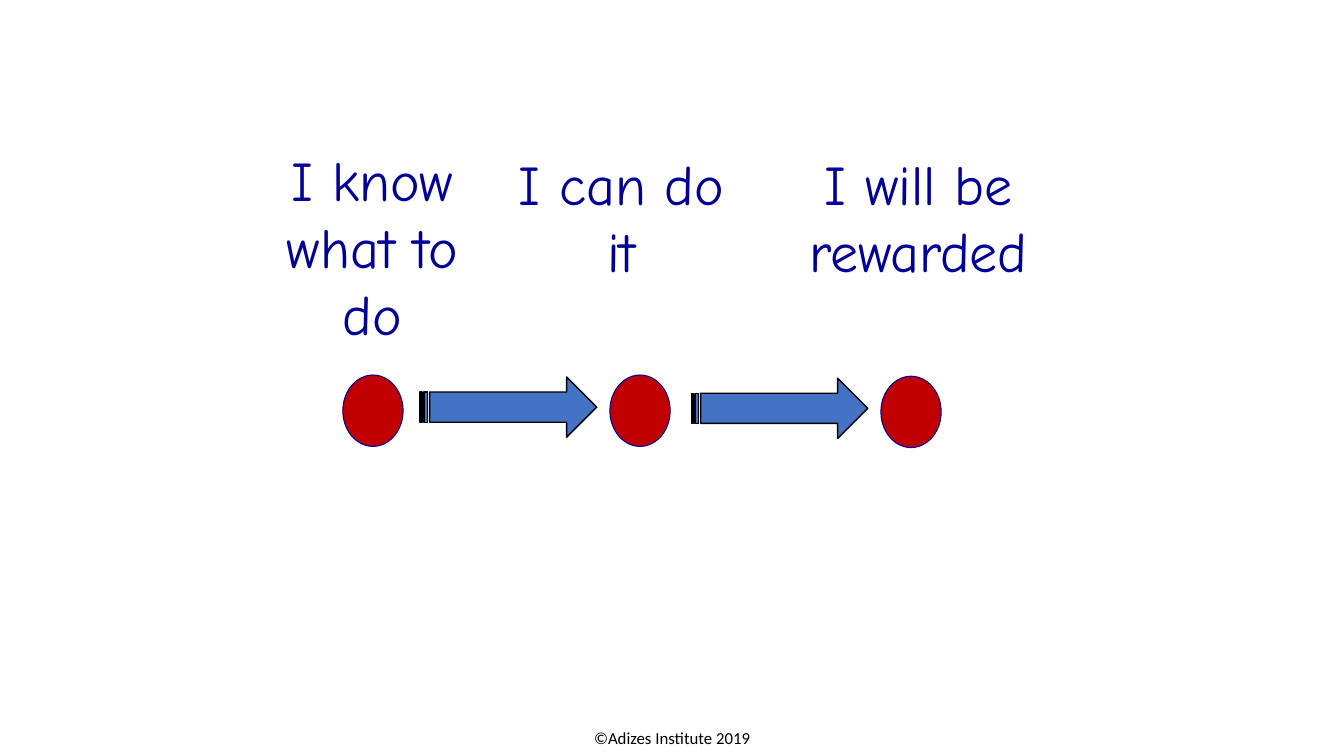
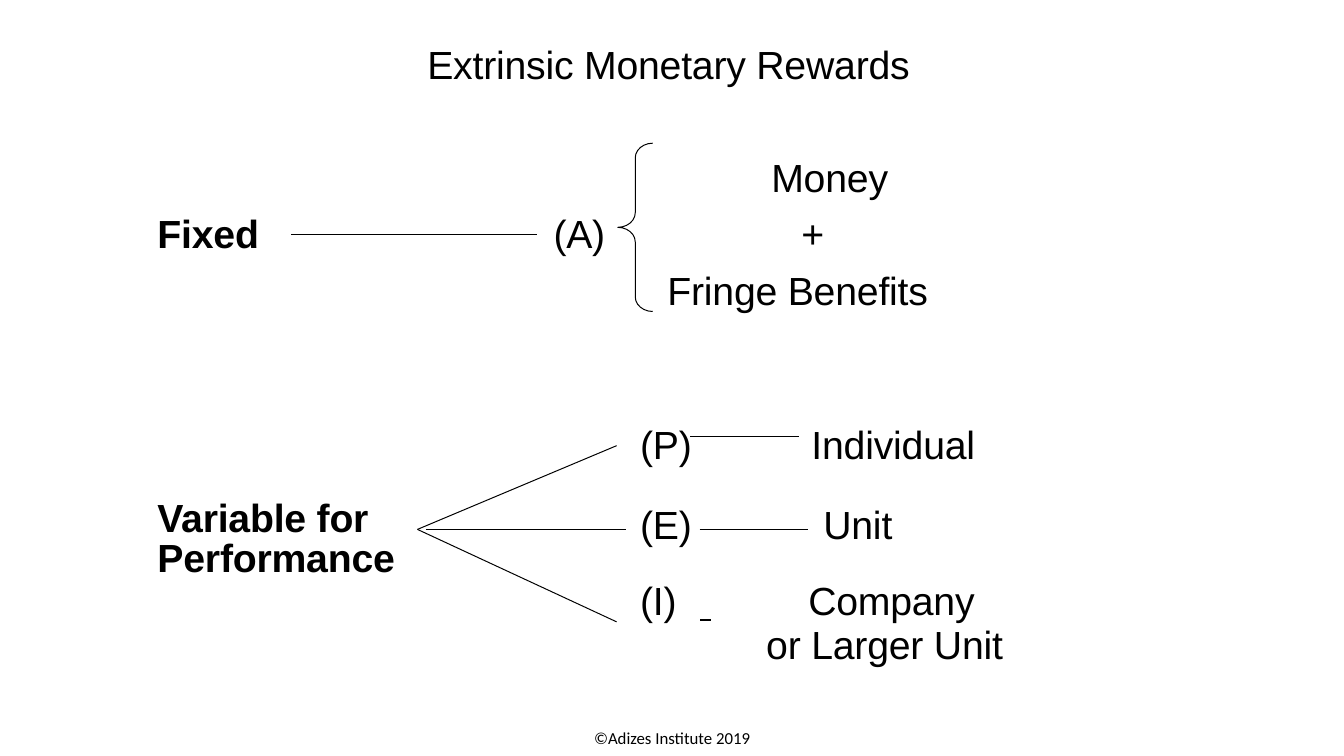
from dataclasses import dataclass

from lxml import etree
from pptx import Presentation
from pptx.dml.color import RGBColor
from pptx.enum.shapes import MSO_CONNECTOR, MSO_SHAPE
from pptx.enum.text import PP_ALIGN
from pptx.oxml.ns import qn
from pptx.util import Cm, Pt

LEFT, CENTER = PP_ALIGN.LEFT, PP_ALIGN.CENTER
OVAL, ARROW, BRACE = MSO_SHAPE.OVAL, MSO_SHAPE.STRIPED_RIGHT_ARROW, MSO_SHAPE.LEFT_BRACE
STRAIGHT = MSO_CONNECTOR.STRAIGHT

BLACK, NAVY, RED, BLUE = "000000", "000099", "C00000", "4472C4"
BLANK_LAYOUT = 6
LINE_WIDTH = 0.72


@dataclass(frozen=True)
class Style:
    font: str
    size: float
    colour: str = BLACK
    bold: bool = False
    letter_spacing: int = 0  # hundredths of a point


FOOTER = Style("Calibri", 12)
STEP_LABEL = Style("Comic Neue", 40, NAVY)
BODY = Style("Arial", 28, letter_spacing=-15)
HEADING = Style("Arial", 28, bold=True, letter_spacing=-15)


@dataclass(frozen=True)
class Box:
    """Left, top, width and height in centimetres."""
    left: float
    top: float
    width: float
    height: float

    def lengths(self) -> tuple:
        return Cm(self.left), Cm(self.top), Cm(self.width), Cm(self.height)


@dataclass(frozen=True)
class Line:
    """Runs of one paragraph; a run that is a single space is underlined."""
    runs: tuple
    align: PP_ALIGN = LEFT
    indent: float = 0
    before: float = 0
    spacing: object = None
    tabs: tuple = ()


@dataclass(frozen=True)
class Step:
    label: str
    label_box: Box
    circle_left: float
    circle_top: float


@dataclass(frozen=True)
class Label:
    box: Box
    lines: tuple
    style: Style = BODY


STEPS = (
    Step("I know what to do", Box(6.5, 3.53, 5.77, 5.38), 8.64, 9.45),
    Step("I can do it", Box(12.78, 3.63, 5.77, 3.68), 15.37, 9.45),
    Step("I will be rewarded", Box(19.63, 3.63, 7.04, 3.68), 22.2, 9.48),
)

REWARD_LABELS = (
    Label(Box(10.74, 1.02, 12.37, 1.19), (Line(("Extrinsic Monetary Rewards",)),)),
    Label(Box(3.94, 5.28, 2.64, 1.19), (Line(("Fixed",)),), HEADING),
    Label(Box(13.92, 5.28, 1.4, 1.19), (Line(("(A)",)),)),
    Label(Box(16.79, 3.86, 6.73, 4.09), (
        Line(("Money",), indent=2.62),
        Line(("+",), CENTER, indent=0.66, before=6.8),
        Line(("Fringe Benefits",), before=6.7),
    )),
    Label(Box(3.94, 12.6, 6.1, 2.06),
          (Line(("Variable for Performance",), spacing=Pt(28.6)),), HEADING),
    Label(Box(16.1, 10.59, 1.4, 1.19), (Line(("(P)",)),)),
    Label(Box(20.42, 10.59, 4.24, 1.19), (Line(("Individual",)),)),
    Label(Box(16.1, 12.6, 9.27, 4.27), (
        Line(("(E)\t", "Unit"), tabs=(4.62,)),
        Line(("(I)\t", " ", "\tCompany"), before=23.5, spacing=Pt(31.1), tabs=(1.52, 4.24)),
        Line(("or Larger Unit",), indent=3.18, spacing=Pt(31.1)),
    )),
)

VARIABLE_TIP = (10.52, 13.34)
REWARD_LINES = (
    ((7.34, 5.92), (13.54, 5.92)),
    ((17.4, 11), (20.14, 11)),
    ((17.63, 13.34), (20.37, 13.34)),
    (VARIABLE_TIP, (15.54, 11.23)),
    (VARIABLE_TIP, (15.54, 15.67)),
    ((10.74, 13.34), (15.77, 13.34)),
)


def rgb(colour: str) -> RGBColor:
    return RGBColor.from_string(colour)


def add_run(paragraph, text: str, style: Style) -> None:
    run = paragraph.add_run()
    run.text = text
    font = run.font
    font.name, font.size, font.bold = style.font, Pt(style.size), style.bold
    font.color.rgb = rgb(style.colour)
    if text == " ":
        font.underline = True
    if style.letter_spacing:
        run._r.get_or_add_rPr().set("spc", str(style.letter_spacing))


def format_paragraph(paragraph, line: Line) -> None:
    properties = paragraph._p.get_or_add_pPr()
    if line.indent:
        properties.set("marL", str(Cm(line.indent)))
    if line.tabs:
        tab_list = etree.SubElement(properties, qn("a:tabLst"))
        for position in line.tabs:
            etree.SubElement(tab_list, qn("a:tab"), pos=str(Cm(position)), algn="l")
    paragraph.alignment = line.align
    if line.before:
        paragraph.space_before = Pt(line.before)
    if line.spacing:
        paragraph.line_spacing = line.spacing


def add_text(slide, box: Box, lines: tuple, style: Style,
             side_inset: float = 0.25, top_inset: float = 0.13) -> None:
    frame = slide.shapes.add_textbox(*box.lengths()).text_frame
    frame.word_wrap = True
    frame.margin_left = frame.margin_right = Cm(side_inset)
    frame.margin_top = frame.margin_bottom = Cm(top_inset)
    for index, line in enumerate(lines):
        paragraph = frame.add_paragraph() if index else frame.paragraphs[0]
        format_paragraph(paragraph, line)
        for text in line.runs:
            add_run(paragraph, text, style)


def add_shape(slide, preset: MSO_SHAPE, box: Box, fill: str | None,
              line: str, line_width: float):
    shape = slide.shapes.add_shape(preset, *box.lengths())
    shape.shadow.inherit = False
    if fill:
        shape.fill.solid()
        shape.fill.fore_color.rgb = rgb(fill)
    else:
        shape.fill.background()
    shape.line.color.rgb = rgb(line)
    shape.line.width = Pt(line_width)
    return shape


def add_line(slide, start: tuple, end: tuple) -> None:
    connector = slide.shapes.add_connector(STRAIGHT, *map(Cm, start + end))
    connector.line.color.rgb = rgb(BLACK)
    connector.line.width = Pt(LINE_WIDTH)
    etree.SubElement(connector._element.spPr, qn("a:effectLst"))


def add_slide(presentation):
    """Add a blank slide with the shared copyright footer."""
    slide = presentation.slides.add_slide(presentation.slide_layouts[BLANK_LAYOUT])
    footer = Line(("©Adizes Institute 2019",), CENTER, spacing=0.93)
    add_text(slide, Box(11.3, 18.24, 11.28, 0.76), (footer,), FOOTER, top_inset=0.15)
    return slide


def build_steps(presentation) -> None:
    slide = add_slide(presentation)
    for index, step in enumerate(STEPS):
        left, top = step.circle_left, step.circle_top
        add_text(slide, step.label_box, (Line((step.label,), CENTER),), STEP_LABEL)
        add_shape(slide, OVAL, Box(left, top, 1.52, 1.8), RED, NAVY, 0.75)
        if index:
            arrow_box = Box(left - 4.78, top + 0.05, 4.45, 1.52)
            add_shape(slide, ARROW, arrow_box, BLUE, BLACK, 1)


def build_rewards(presentation) -> None:
    slide = add_slide(presentation)
    for label in REWARD_LABELS:
        add_text(slide, label.box, label.lines, label.style, side_inset=0.03, top_inset=0)
    for start, end in REWARD_LINES:
        add_line(slide, start, end)
    brace = add_shape(slide, BRACE, Box(15.57, 3.61, 0.88, 4.24), None, BLACK, LINE_WIDTH)
    brace.adjustments[0] = 0.42


def main() -> None:
    presentation = Presentation()
    presentation.slide_width, presentation.slide_height = Cm(33.87), Cm(19.05)
    build_steps(presentation)
    build_rewards(presentation)
    presentation.save("out.pptx")


if __name__ == "__main__":
    main()
